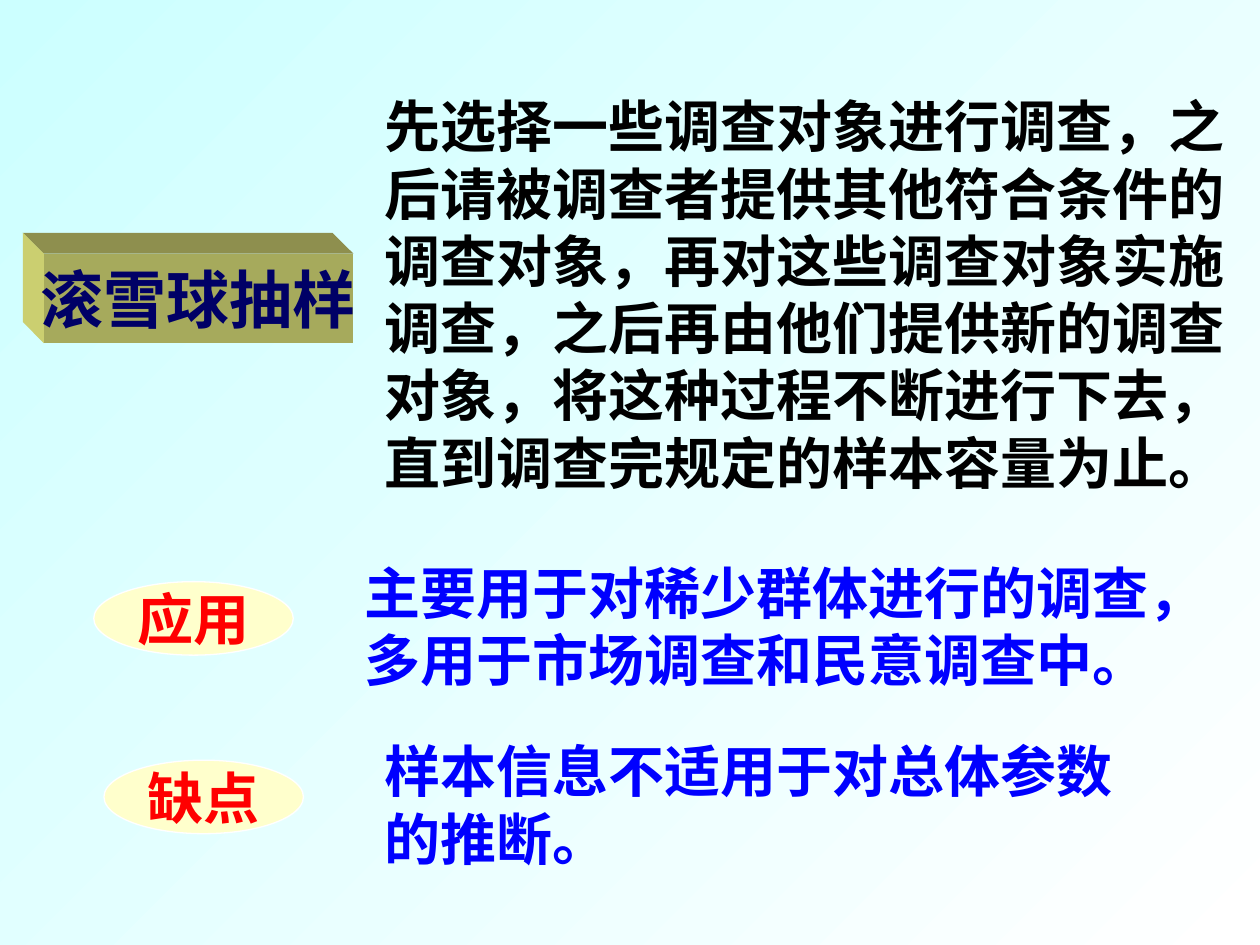
from dataclasses import dataclass

from pptx import Presentation
from pptx import util as u
from pptx.dml.color import RGBColor
from pptx.enum import shapes, text

Pt = u.Pt


@dataclass(frozen=True)
class Theme:
    """Colours, fonts and type sizes of the slide."""
    sky: str = "CCFFFF"
    white: str = "FFFFFF"
    cream: str = "FFFFCC"
    front: str = "A6AA5C"
    top: str = "8E8F4E"
    side: str = "CBCF70"
    navy: str = "000066"
    red: str = "FF0000"
    blue: str = "0000FF"
    black: str = "000000"
    serif: str = "Times New Roman"
    sans: str = "Noto Sans CJK SC"
    heading: int = 36
    body: int = 32


THEME = Theme()


def paint(fill, color):
    """Give a fill one solid colour."""
    fill.solid()
    fill.fore_color.rgb = RGBColor.from_string(color)


def set_background(slide):
    """Fill the slide with a diagonal gradient."""
    fill = slide.background.fill
    fill.gradient()
    fill.gradient_angle = 315
    for stop, color, position in zip(fill.gradient_stops, (THEME.sky, THEME.white), (0, 1)):
        stop.color.rgb = RGBColor.from_string(color)
        stop.position = position


def write(shape, words, *, color, size=THEME.body, font=THEME.serif, wrap=True,
          align=text.PP_ALIGN.LEFT, anchor=text.MSO_ANCHOR.TOP):
    """Put one bold paragraph into a shape."""
    frame = shape.text_frame
    frame.auto_size = text.MSO_AUTO_SIZE.NONE
    frame.word_wrap = wrap
    frame.vertical_anchor = anchor
    paragraph = frame.paragraphs[0]
    paragraph.alignment = align
    run = paragraph.add_run()
    run.text = words
    run.font.name = font
    run.font.size = Pt(size)
    run.font.bold = True
    run.font.color.rgb = RGBColor.from_string(color)


def write_label(shape, words, **style):
    """Put centred, unwrapped text into a shape."""
    write(shape, words, wrap=False, align=text.PP_ALIGN.CENTER,
          anchor=text.MSO_ANCHOR.MIDDLE, **style)


def add_face(slide, points, color):
    """Draw one face of the heading block."""
    builder = slide.shapes.build_freeform(*points[0], scale=Pt(1))
    builder.add_line_segments(points[1:], close=True)
    face = builder.convert_to_shape()
    face.shadow.inherit = False
    paint(face.fill, color)
    face.line.fill.background()


def add_heading_block(slide, words, left, top, width, height, depth, overhang=18):
    """Draw a solid block with the title across its front."""
    right, bottom = left + width, top + height
    back_left, back_top = left - depth, top - depth
    add_face(slide, [(left, top), (right, top), (right, bottom), (left, bottom)], THEME.front)
    add_face(slide, [(back_left, back_top), (right - depth, back_top),
                     (right, top), (left, top)], THEME.top)
    add_face(slide, [(back_left, back_top), (left, top),
                     (left, bottom), (back_left, bottom - depth)], THEME.side)
    title = slide.shapes.title
    title.left, title.top, title.width, title.height = map(
        Pt, (left - overhang, top, width + 2 * overhang, height))
    write_label(title, words, color=THEME.navy, size=THEME.heading)
    slide.shapes.element.append(title.element)


def add_oval(slide, words, left, top):
    """Add an oval label."""
    oval = slide.shapes.add_shape(shapes.MSO_SHAPE.OVAL, Pt(left), Pt(top), Pt(114), Pt(42))
    oval.shadow.inherit = False
    paint(oval.fill, THEME.cream)
    paint(oval.line.fill, THEME.white)
    oval.line.width = Pt(0.75)
    write_label(oval, words, color=THEME.red)


def add_text(slide, words, left, top, width, height, **style):
    """Add a wrapped text box."""
    box = slide.shapes.add_textbox(Pt(left), Pt(top), Pt(width), Pt(height))
    write(box, words, **style)


def main():
    """Build and save the slide."""
    presentation = Presentation()
    presentation.slide_width, presentation.slide_height = Pt(720), Pt(540)
    slide = presentation.slides.add_slide(presentation.slide_layouts[5])
    set_background(slide)
    add_text(slide, "先选择一些调查对象进行调查，之后请被调查者提供其他符合条件的调查对象，"
             "再对这些调查对象实施调查，之后再由他们提供新的调查对象，"
             "将这种过程不断进行下去，直到调查完规定的样本容量为止。",
             212.4, 49, 507.6, 237.6, color=THEME.black, font=THEME.sans)
    add_oval(slide, "应用", 53.6, 332.4)
    add_oval(slide, "缺点", 59.4, 434.4)
    add_text(slide, "主要用于对稀少群体进行的调查，多用于市场调查和民意调查中。",
             201.2, 315.4, 518.4, 84.2, color=THEME.blue)
    add_text(slide, "样本信息不适用于对总体参数的推断。",
             212.4, 417.6, 447.8, 84.2, color=THEME.blue)
    add_heading_block(slide, "滚雪球抽样", 25.2, 145.2, 176.4, 51, 12)
    presentation.save("out.pptx")


if __name__ == "__main__":
    main()
